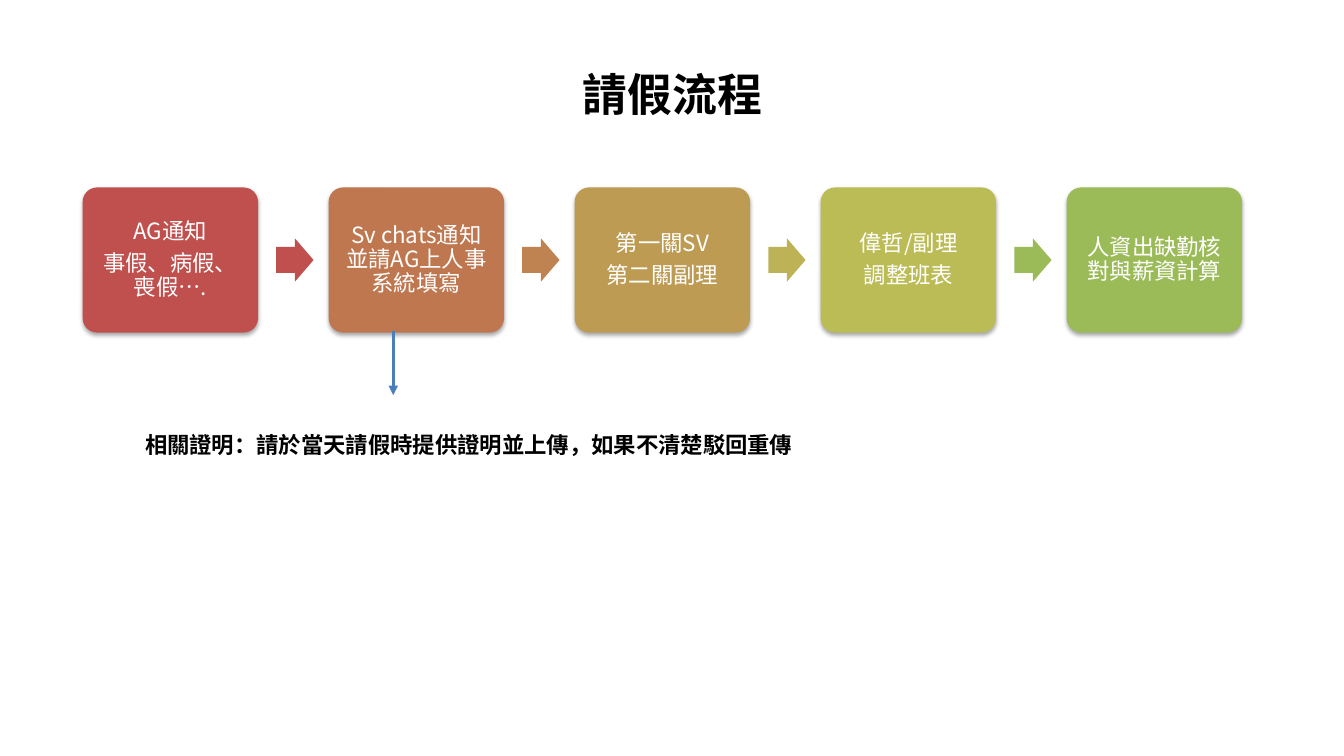
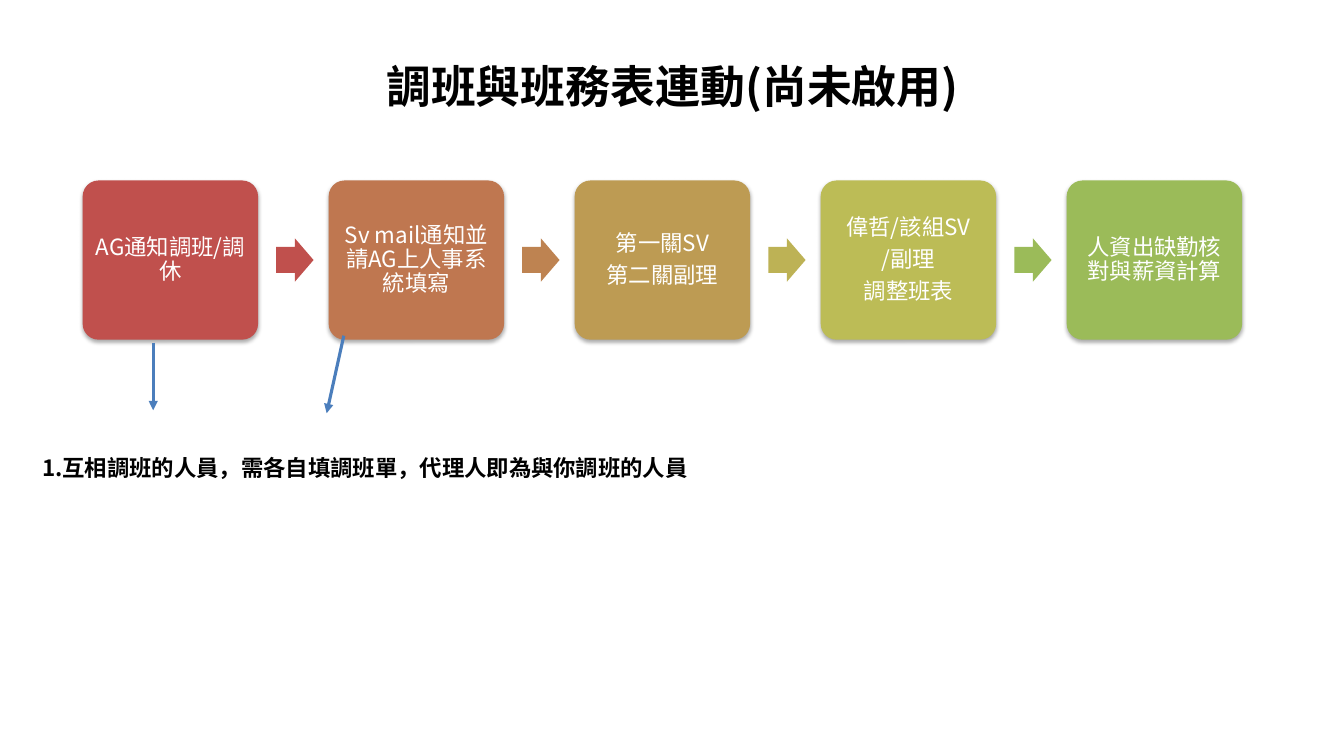
from lxml import etree
from pptx import Presentation
from pptx.dml.color import RGBColor
from pptx.enum import shapes, text
from pptx.oxml import ns
from pptx.util import Inches, Pt

FONT = "Noto Sans CJK SC"
BLACK = RGBColor(0x00, 0x00, 0x00)
WHITE = RGBColor(0xFF, 0xFF, 0xFF)
POINTER = RGBColor(0x4B, 0x7E, 0xBC)
STEP_FILLS = [RGBColor.from_string(c) for c in
              ("C0504D", "BF7750", "BD9B53", "BCBC56", "9BBB59")]
ARROW_FILLS = [RGBColor.from_string(c) for c in
               ("C0504D", "BE8351", "BDB255", "9BBB59")]

STEP_LEFT, STEP_PITCH, STEP_W = 0.82, 2.44, 1.74
STEP_MIDDLE = 2.58
ARROW_OFFSET, ARROW_W, ARROW_H = 1.92, 0.37, 0.43

SHADOW = (
    f'<a:effectLst {ns.nsdecls("a")}>'
    '<a:outerShdw blurRad="40000" dist="23000" dir="5400000" rotWithShape="0">'
    '<a:srgbClr val="000000"><a:alpha val="35000"/></a:srgbClr>'
    '</a:outerShdw></a:effectLst>'
)

SLIDES = [
    {
        "title": "請假流程", "title_font": "Arial", "title_middle": 0.93,
        "step_h": 1.44,
        "steps": [
            ["AG通知", "事假、病假、喪假…."],
            ["Sv chats通知並請AG上人事系統填寫"],
            ["第一關SV", "第二關副理"],
            ["偉哲/副理", "調整班表"],
            ["人資出缺勤核對與薪資計算"],
        ],
        "pointers": [(3.9, 3.28, 3.9, 3.92)],
        "note": "相關證明：請於當天請假時提供證明並上傳，如果不清楚駁回重傳",
        "note_at": (1.34, 4.09),
    },
    {
        "title": "調班與班務表連動(尚未啟用)", "title_font": FONT, "title_middle": 0.85,
        "step_h": 1.58,
        "steps": [
            ["AG通知調班/調休"],
            ["Sv mail通知並請AG上人事系統填寫"],
            ["第一關SV", "第二關副理"],
            ["偉哲/該組SV", "/副理", "調整班表"],
            ["人資出缺勤核對與薪資計算"],
        ],
        "pointers": [(1.52, 3.4, 1.52, 4.07), (3.41, 3.33, 3.24, 4.1)],
        "note": "1.互相調班的人員，需各自填調班單，代理人即為與你調班的人員",
        "note_at": (0.32, 4.32),
    },
]


def write(tf, lines, size, color, bold=False, align=None, spacing=None,
          after=None, font=FONT):
    """Fill a text frame with one paragraph per line, all in one style."""
    tf.word_wrap = True
    for i, line in enumerate(lines):
        p = tf.paragraphs[0] if i == 0 else tf.add_paragraph()
        p.text = line
        p.alignment = align
        p.line_spacing = spacing
        p.space_after = after
        p.font.name = font
        p.font.size = Pt(size)
        p.font.bold = bold
        p.font.color.rgb = color
        east_asian = etree.SubElement(p.font._element, ns.qn("a:ea"))
        east_asian.set("typeface", FONT)


def add_block(s, kind, left, width, height, fill):
    """Add a borderless shape centred on the row of steps."""
    sp = s.shapes.add_shape(kind, Inches(left), Inches(STEP_MIDDLE - height / 2),
                            Inches(width), Inches(height))
    sp.shadow.inherit = False
    sp.fill.solid()
    sp.fill.fore_color.rgb = fill
    sp.line.fill.background()
    return sp


prs = Presentation()
prs.slide_width, prs.slide_height = Inches(13.33), Inches(7.5)

for content in SLIDES:
    s = prs.slides.add_slide(prs.slide_layouts[6])

    title = s.shapes.add_textbox(Inches(0.67), Inches(content["title_middle"] - 0.45),
                                 Inches(12), Inches(0.9))
    title.text_frame.vertical_anchor = text.MSO_ANCHOR.MIDDLE
    write(title.text_frame, [content["title"]], 32, BLACK, bold=True,
          align=text.PP_ALIGN.CENTER, font=content["title_font"])

    for i, lines in enumerate(content["steps"]):
        left = STEP_LEFT + i * STEP_PITCH
        step = add_block(s, shapes.MSO_SHAPE.ROUNDED_RECTANGLE, left, STEP_W,
                         content["step_h"], STEP_FILLS[i])
        step.adjustments[0] = 0.1
        spPr = step._element.spPr
        spPr.replace(spPr.find(ns.qn("a:effectLst")), etree.fromstring(SHADOW))
        tf = step.text_frame
        tf.margin_left = tf.margin_right = Inches(0.07)
        tf.margin_top = tf.margin_bottom = Inches(0.07)
        tf.vertical_anchor = text.MSO_ANCHOR.MIDDLE
        write(tf, lines, 16, WHITE, align=text.PP_ALIGN.CENTER,
              spacing=0.9, after=Pt(5.6))

        if i < len(ARROW_FILLS):
            arrow = add_block(s, shapes.MSO_SHAPE.RIGHT_ARROW, left + ARROW_OFFSET,
                              ARROW_W, ARROW_H, ARROW_FILLS[i])
            arrow.adjustments[0] = 0.6
            arrow.adjustments[1] = 0.5

    for ends in content["pointers"]:
        pointer = s.shapes.add_connector(shapes.MSO_CONNECTOR.STRAIGHT,
                                         *(Inches(v) for v in ends))
        pointer.line.color.rgb = POINTER
        pointer.line.width = Pt(2.25)
        etree.SubElement(pointer.line._get_or_add_ln(), ns.qn("a:tailEnd"), type="triangle")
        etree.SubElement(pointer._element.spPr, ns.qn("a:effectLst"))

    left, top = content["note_at"]
    note = s.shapes.add_textbox(Inches(left), Inches(top), Inches(10.84), Inches(0.46))
    write(note.text_frame, [content["note"]], 16, BLACK, bold=True, spacing=1.5)

prs.save("out.pptx")
